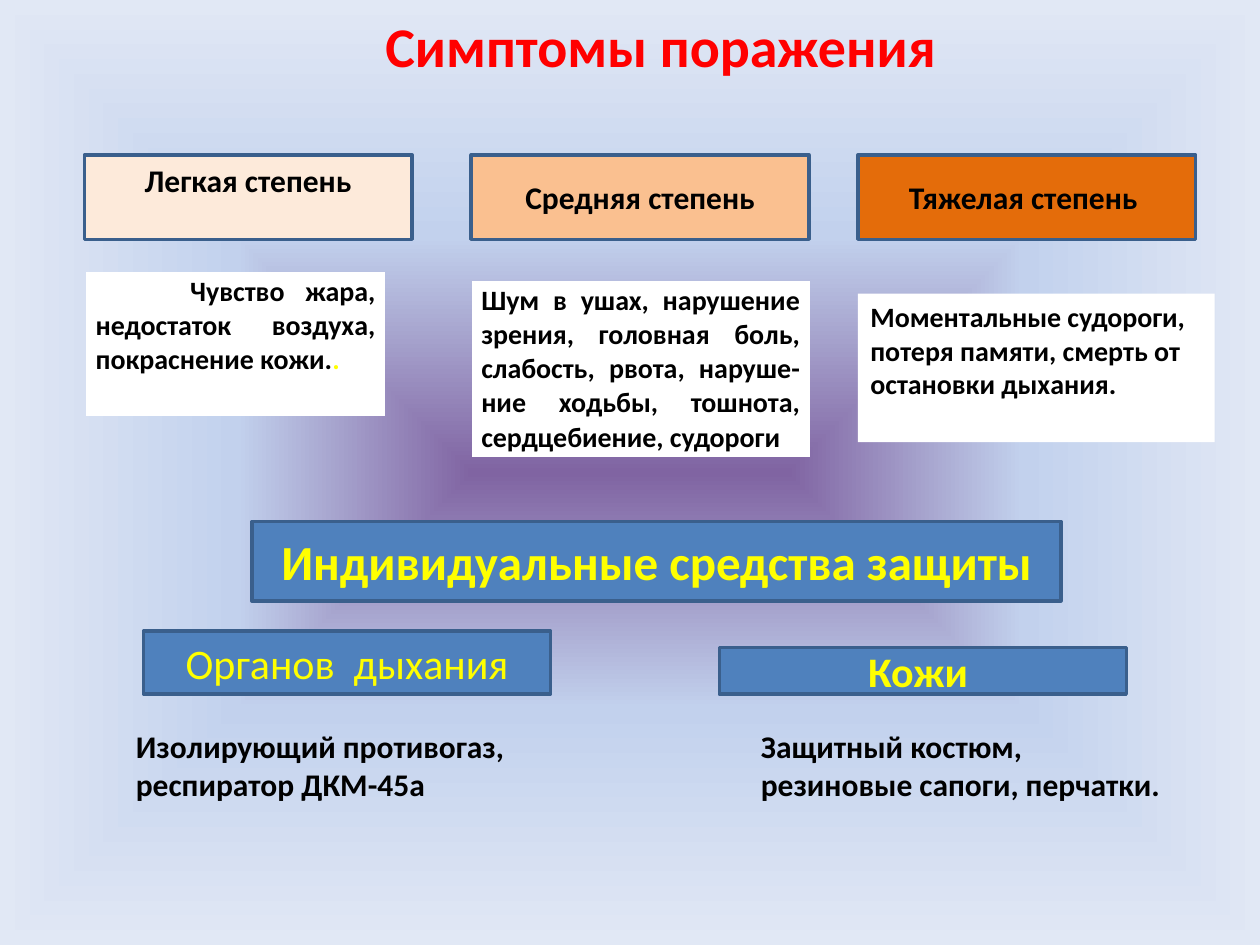
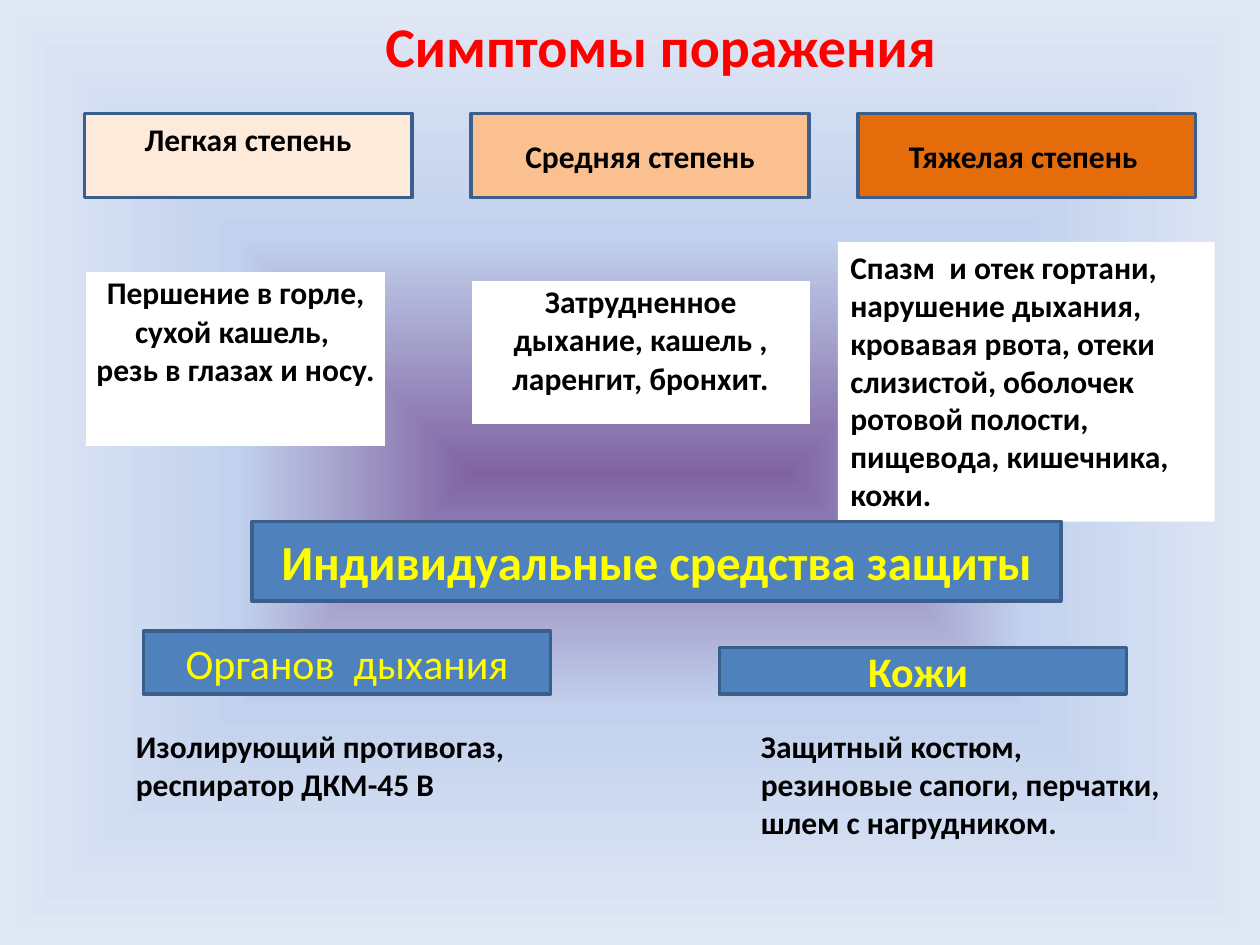
from pptx import Presentation
from pptx.dml.color import RGBColor
from pptx.enum.shapes import MSO_SHAPE
from pptx.enum.text import MSO_ANCHOR, PP_ALIGN
from pptx.oxml import parse_xml
from pptx.oxml.ns import nsdecls
from pptx.util import Inches, Pt

BLACK = RGBColor(0x00, 0x00, 0x00)
WHITE = RGBColor(0xFF, 0xFF, 0xFF)
RED = RGBColor(0xFF, 0x00, 0x00)
YELLOW = RGBColor(0xFF, 0xFF, 0x00)
BLUE = RGBColor(0x4F, 0x81, 0xBD)
OUTLINE = RGBColor(0x3A, 0x5F, 0x8C)
PEACH = RGBColor(0xFD, 0xEA, 0xDA)
APRICOT = RGBColor(0xFA, 0xC0, 0x90)
ORANGE = RGBColor(0xE4, 0x6C, 0x0A)
GLOW = [(0, RGBColor(0x80, 0x64, 0xA2)), (50, RGBColor(0xC2, 0xD1, 0xED)),
        (100, RGBColor(0xE1, 0xE8, 0xF5))]

deck = Presentation()
deck.slide_width, deck.slide_height = Inches(10), Inches(7.5)
COLUMN = deck.slide_width / 100
ROW = deck.slide_height / 75

LEFT, CENTER, JUSTIFY = PP_ALIGN.LEFT, PP_ALIGN.CENTER, PP_ALIGN.JUSTIFY
DEGREE_LEFT, DEGREE_STEP, DEGREE_HEIGHT = 6.7, 30.7, 6.7
DEGREES = [("Легкая степень", PEACH, 26, MSO_ANCHOR.TOP),
           ("Средняя степень", APRICOT, 26.8, MSO_ANCHOR.MIDDLE),
           ("Тяжелая степень ", ORANGE, 26.8, MSO_ANCHOR.MIDDLE)]
PROTECTION_BANNERS = [
    ("Индивидуальные средства защиты", (20, 41.4, 64.2, 6.3), 28, True),
    ("Органов  дыхания", (11.4, 50.1, 32.3, 5), 24, False),
    ("Кожи ", (57.1, 51.4, 32.3, 3.7), 24, True),
]
LESIONS = [
    {
        "degree_top": 12.3, "size": 16, "align": JUSTIFY, "indent": 7.5,
        "symptoms": [
            ((6.9, 21.8, 23.6, 11), ["Чувство жара, недостаток воздуха, покраснение кожи."], "."),
            ((37.5, 22.5, 26.7, 13.3),
             ["Шум в ушах, нарушение зрения, головная боль, слабость, рвота, "
              "наруше- ние ходьбы, тошнота, сердцебиение, судороги"], ""),
        ],
        "severe": ((68.1, 23.3, 28.3, 11.8),
                   "Моментальные судороги, потеря памяти, смерть от остановки дыхания."),
        "respirator": "Изолирующий противогаз, респиратор ДКМ-45а",
        "clothing": ["Защитный костюм,", "резиновые сапоги, перчатки."],
    },
    {
        "degree_top": 9, "size": 18, "align": CENTER, "indent": 0,
        "symptoms": [
            ((6.9, 21.8, 23.6, 13.4),
             ["Першение в горле, сухой кашель, ", "резь в глазах и носу."], ""),
            ((37.5, 22.5, 26.7, 11),
             ["Затрудненное дыхание, кашель , ларенгит, бронхит."], ""),
        ],
        "severe": ((66.5, 19.2, 29.9, 22.2),
                   "Спазм  и отек гортани, нарушение дыхания, кровавая рвота, отеки "
                   "слизистой, оболочек ротовой полости, пищевода, кишечника, кожи."),
        "respirator": "Изолирующий противогаз, респиратор ДКМ-45 В",
        "clothing": ["Защитный костюм, резиновые сапоги, перчатки, шлем с нагрудником."],
    },
]


def on_grid(box):
    """Turn left, top, width and height in columns and rows into lengths."""
    return [round(cells * unit) for cells, unit in zip(box, (COLUMN, ROW) * 2)]


def write(frame, lines, size, color=BLACK, bold=True, align=LEFT, anchor=MSO_ANCHOR.TOP):
    frame.word_wrap = True
    frame.vertical_anchor = anchor
    for number, line in enumerate(lines):
        paragraph = frame.add_paragraph() if number else frame.paragraphs[0]
        paragraph.alignment = align
        run = paragraph.add_run()
        run.text = line
        run.font.name, run.font.size, run.font.bold = "Calibri", Pt(size), bold
        run.font.color.rgb = color


# Shared background glow
backdrop = deck.slide_master.background
backdrop.fill.gradient()
gradient = deck.slide_master.element.find(".//{*}bgPr/{*}gradFill")
stops = "".join(f'<a:gs pos="{share * 1000}"><a:srgbClr val="{color}"/></a:gs>'
                for share, color in GLOW)
gradient.getparent().replace(gradient, parse_xml(
    f'<a:gradFill {nsdecls("a")} rotWithShape="1"><a:gsLst>{stops}</a:gsLst>'
    '<a:path path="shape"><a:fillToRect l="50000" t="50000" r="50000" b="50000"/></a:path>'
    '</a:gradFill>'))

for lesion in LESIONS:
    slide = deck.slides.add_slide(deck.slide_layouts[5])
    title = slide.shapes.title
    title.left, title.top, title.width, title.height = on_grid((6.7, 0.4, 91.5, 7))
    write(title.text_frame, ["Симптомы поражения"], 32, RED, align=CENTER)

    # Degrees of severity, the severe symptoms and the protection banners
    panels = []
    for number, (degree, fill, width, anchor) in enumerate(DEGREES):
        box = (DEGREE_LEFT + number * DEGREE_STEP, lesion["degree_top"], width, DEGREE_HEIGHT)
        panels.append((degree, box, fill, OUTLINE, 18, BLACK, True, CENTER, anchor))
    severe_box, severe_symptoms = lesion["severe"]
    panels.append((severe_symptoms, severe_box, WHITE, None, lesion["size"], BLACK, True,
                   LEFT, MSO_ANCHOR.TOP))
    for banner, box, size, bold in PROTECTION_BANNERS:
        panels.append((banner, box, BLUE, OUTLINE, size, YELLOW, bold, CENTER,
                       MSO_ANCHOR.MIDDLE))
    for words, box, fill, outline, size, color, bold, align, anchor in panels:
        panel = slide.shapes.add_shape(MSO_SHAPE.RECTANGLE, *on_grid(box))
        panel.shadow.inherit = False
        panel.fill.solid()
        panel.fill.fore_color.rgb = fill
        if outline is None:
            panel.line.fill.background()
        else:
            panel.line.color.rgb = outline
            panel.line.width = Pt(2)
        write(panel.text_frame, [words], size, color, bold, align, anchor)

    # Light and medium symptoms
    for number, (box, lines, full_stop) in enumerate(lesion["symptoms"]):
        symptoms = slide.shapes.add_table(1, 1, *on_grid(box)).table
        symptoms.first_row = symptoms.horz_banding = False
        cell = symptoms.cell(0, 0)
        cell.margin_left = cell.margin_right = Inches(0.07)
        cell.margin_top = cell.margin_bottom = 0
        write(cell.text_frame, lines, lesion["size"], align=lesion["align"])
        first = cell.text_frame.paragraphs[0]
        if number == 0 and lesion["indent"]:
            first._p.get_or_add_pPr().set("indent", str(round(lesion["indent"] * COLUMN)))
        if full_stop:
            stop = first.add_run()
            stop.text = full_stop
            stop.font.name, stop.font.size, stop.font.bold = "Calibri", Pt(lesion["size"]), True
            stop.font.color.rgb = YELLOW
        for side, points in (("L", 1), ("R", 1), ("T", 3), ("B", 3)):
            cell._tc.get_or_add_tcPr().append(parse_xml(
                f'<a:ln{side} {nsdecls("a")} w="{Pt(points)}"><a:solidFill>'
                f'<a:srgbClr val="{WHITE}"/></a:solidFill></a:ln{side}>'))
        cell.fill.solid()
        cell.fill.fore_color.rgb = WHITE

    # Means of protection
    for lines, box in (([lesion["respirator"]], (9.8, 57.2, 31.5, 7.1)),
                       (lesion["clothing"], (59.4, 57.2, 33.9, 7.1))):
        means = slide.shapes.add_textbox(*on_grid(box))
        write(means.text_frame, lines, 18)

deck.save("out.pptx")
